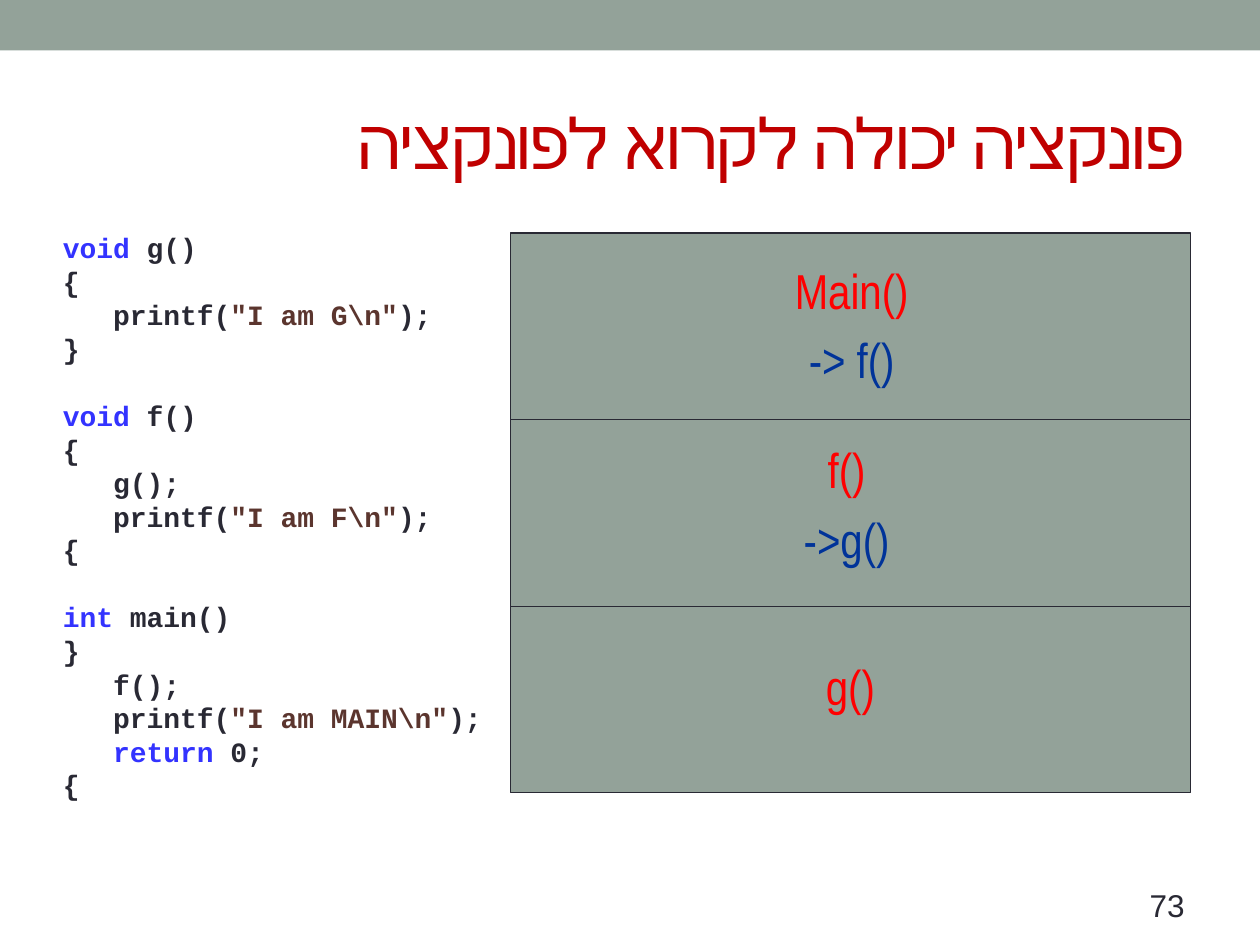
from pptx import Presentation
from pptx import util as u
from pptx.dml.color import RGBColor
from pptx.enum import shapes, text

Pt = u.Pt
COLORS = {"sage": "93A299", "ink": "292934", "title": "C00000", "keyword": "3333FF",
          "string": "5B352E", "name": "FF0000", "call": "003399"}

TITLE = "פונקציה יכולה לקרוא לפונקציה"
PAGE = "73"
FUNCTIONS = [
    [[("void", "keyword"), (" g()", "ink")],
     [("{", "ink")],
     [("   printf(", "ink"), ('"I am G\\n"', "string"), (");", "ink")],
     [("}", "ink")]],
    [[("void", "keyword"), (" f()", "ink")],
     [("{", "ink")],
     [("   g();", "ink")],
     [("   printf(", "ink"), ('"I am F\\n"', "string"), (");", "ink")],
     [("{", "ink")]],
    [[("int", "keyword"), (" main()", "ink")],
     [("}", "ink")],
     [("   f();", "ink")],
     [("   printf(", "ink"), ('"I am MAIN\\n"', "string"), (");", "ink")],
     [("   return", "keyword"), (" 0;", "ink")],
     [("{", "ink")]],
]
STACK = [
    {"lines": [("Main()", "name"), ("-> f()", "call")], "left": 306.7, "drop": 12.2},
    {"lines": [("f()", "name"), ("->g()", "call")], "left": 303.8, "drop": 7.9},
    {"lines": [("g()", "name")], "left": 306, "drop": 25.2},
]
FRAME_LEFT, FRAME_TOP, FRAME_WIDTH, FRAME_HEIGHT = 291.6, 133.2, 388.8, 106.6
LABEL_LINE = 41
CODE_LINE = 19.2


def rgb(color):
    return RGBColor.from_string(COLORS[color])


def add_rect(slide, left, top, width, height, outline=None):
    rect = slide.shapes.add_shape(shapes.MSO_SHAPE.RECTANGLE, Pt(left), Pt(top), Pt(width), Pt(height))
    rect.shadow.inherit = False
    rect.fill.solid()
    rect.fill.fore_color.rgb = rgb("sage")
    if outline:
        rect.line.color.rgb = rgb(outline)
        rect.line.width = Pt(0.75)
    else:
        rect.line.fill.background()


def add_text(slide, left, top, width, height, lines, font, size, align, bold=False):
    frame = slide.shapes.add_textbox(Pt(left), Pt(top), Pt(width), Pt(height)).text_frame
    frame.word_wrap = True
    for index, line in enumerate(lines):
        paragraph = frame.add_paragraph() if index else frame.paragraphs[0]
        paragraph.alignment = align
        paragraph.font.name = font
        paragraph.font.size = Pt(size)
        paragraph.font.bold = bold
        for words, color in line:
            run = paragraph.add_run()
            run.text = words
            run.font.color.rgb = rgb(color)
    return frame


def main():
    deck = Presentation()
    deck.slide_width, deck.slide_height = Pt(720), Pt(540)
    slide = deck.slides.add_slide(deck.slide_layouts[6])
    align = text.PP_ALIGN

    add_rect(slide, 0, 0, 720, 28.8)
    add_text(slide, 516.2, 502.6, 167.8, 26.6, [[(PAGE, "ink")]], "Arial", 18, align.RIGHT)

    code_lines = [line for function in FUNCTIONS for line in function]
    code = add_text(slide, 28.8, 128.2, 298.8, 337, code_lines, "Courier New", 16, align.LEFT, True)
    for paragraph in code.paragraphs:
        paragraph.line_spacing = Pt(CODE_LINE)
    first_line = 0
    for function in FUNCTIONS[:-1]:
        first_line += len(function)
        code.paragraphs[first_line].space_before = Pt(CODE_LINE)

    for level, call in reversed(list(enumerate(STACK))):
        top = FRAME_TOP + level * FRAME_HEIGHT
        add_rect(slide, FRAME_LEFT, top, FRAME_WIDTH, FRAME_HEIGHT, "ink")
        label = add_text(slide, call["left"], top + call["drop"], 360, LABEL_LINE * len(call["lines"]),
                         [[line] for line in call["lines"]], "Arial Narrow", 28, align.CENTER)
        for paragraph in label.paragraphs[1:]:
            paragraph.space_before = Pt(6)

    title = add_text(slide, 36, 41.8, 648, 77.8, [[(TITLE, "title")]], "Arial", 40, align.RIGHT)
    title.vertical_anchor = text.MSO_ANCHOR.MIDDLE
    heading = title.paragraphs[0]
    heading._p.get_or_add_pPr().set("rtl", "1")
    heading.runs[0]._r.get_or_add_rPr().set("spc", "-100")

    deck.save("out.pptx")


if __name__ == "__main__":
    main()
